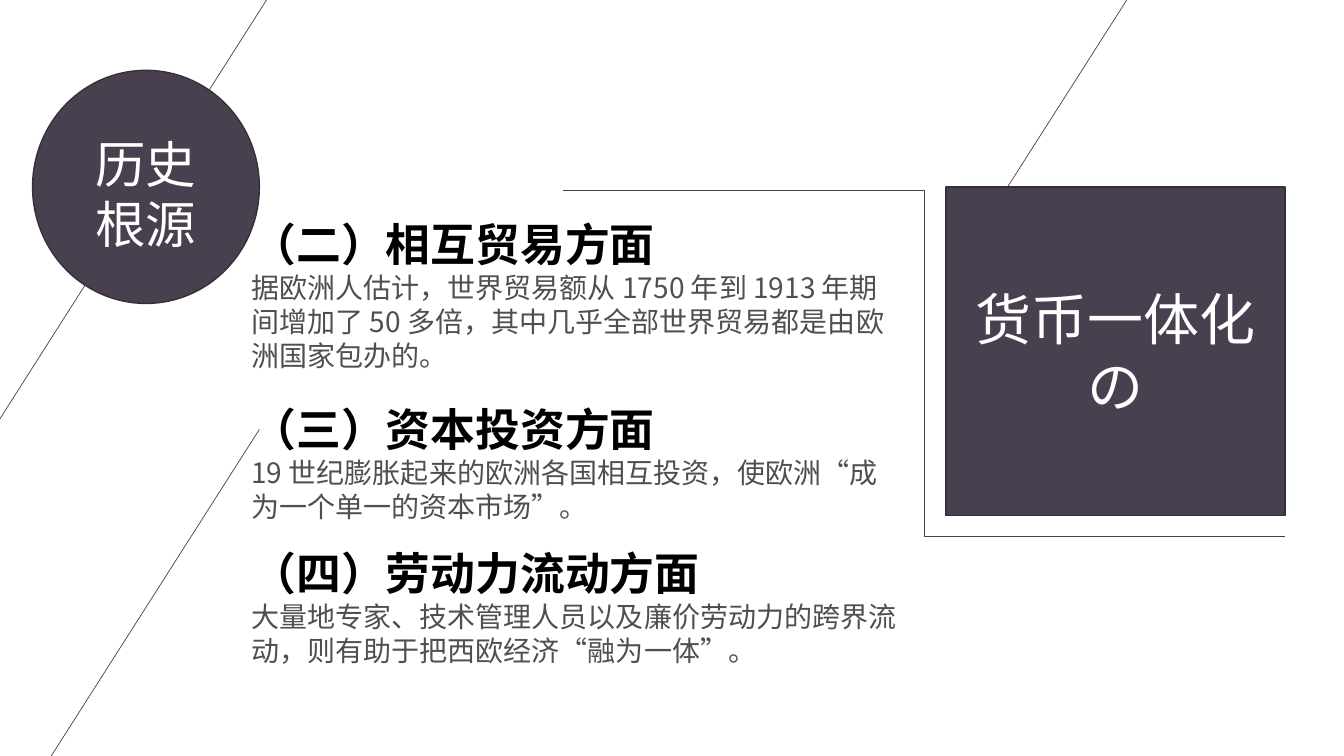
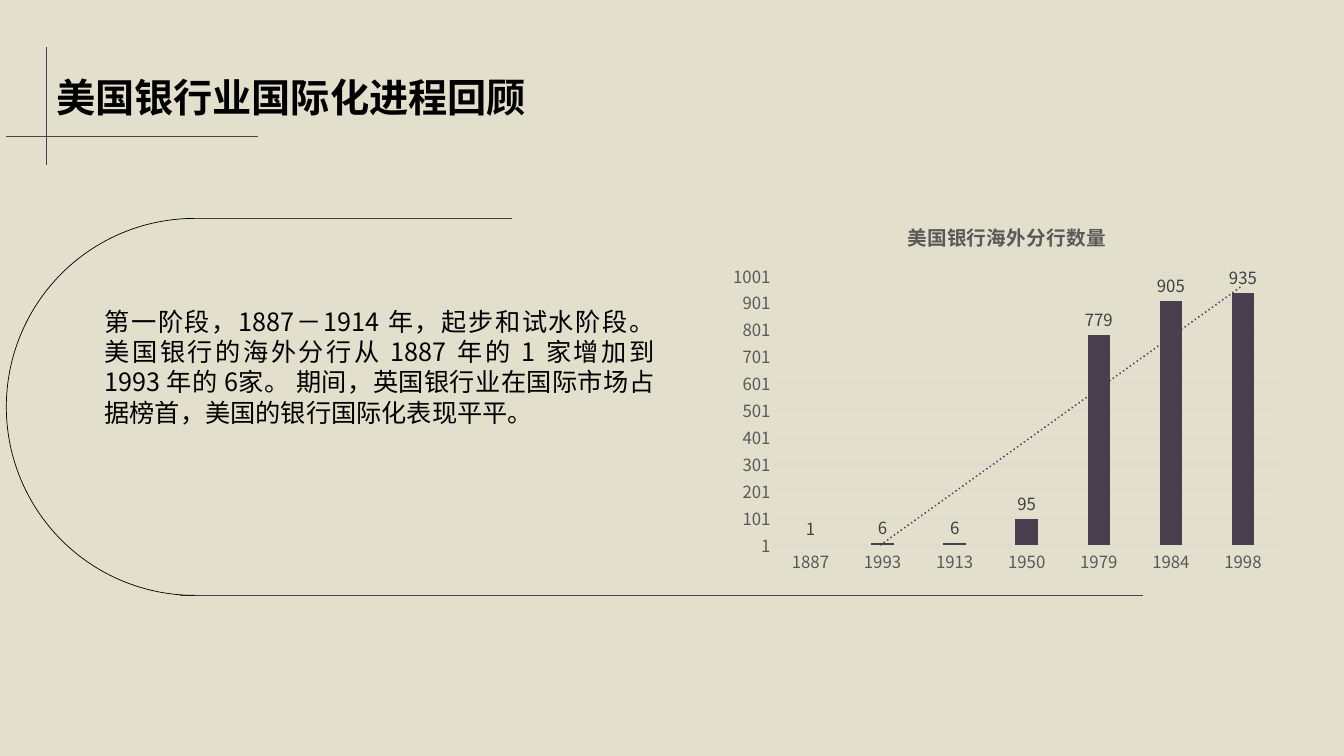
from dataclasses import dataclass

from lxml import etree
from pptx import Presentation
from pptx.chart.data import CategoryChartData
from pptx.dml.color import RGBColor
from pptx.enum.chart import XL_CHART_TYPE as ChartType
from pptx.enum.chart import XL_LABEL_POSITION as LabelPosition
from pptx.enum.chart import XL_TICK_MARK as TickMark
from pptx.enum.shapes import MSO_CONNECTOR as Connector
from pptx.enum.shapes import MSO_SHAPE as Preset
from pptx.enum.text import MSO_ANCHOR as Anchor
from pptx.enum.text import MSO_AUTO_SIZE as AutoSize
from pptx.enum.text import PP_ALIGN as Align
from pptx.oxml import parse_xml
from pptx.oxml.ns import nsdecls, qn
from pptx.util import Emu, Pt


@dataclass(frozen=True)
class Theme:
    font: str = "Noto Sans CJK SC"
    white: str = "FFFFFF"
    black: str = "000000"
    sand: str = "E2DFCC"
    plum: str = "49404F"
    plum_edge: str = "362F3A"
    body: str = "4F4F4F"
    axis: str = "595959"
    label: str = "404040"
    grid: str = "D9D9D9"
    banner_size: int = 40
    badge_size: int = 36
    heading_size: int = 32
    title_size: int = 28
    body_size: int = 20
    note_size: int = 18
    chart_title_size: int = 14
    chart_size: int = 12
    thin: float = 0.5
    outline: float = 1
    grid_width: float = 0.75


THEME = Theme()

SECTIONS = [
    (202, 158, "（二）相互贸易方面",
     "据欧洲人估计，世界贸易额从 1750 年到 1913 年期间增加了 50 多倍，"
     "其中几乎全部世界贸易都是由欧洲国家包办的。"),
    (378, 126, "（三）资本投资方面",
     "19 世纪膨胀起来的欧洲各国相互投资，使欧洲“成为一个单一的资本市场”。"),
    (515, 126, "（四）劳动力流动方面",
     "大量地专家、技术管理人员以及廉价劳动力的跨界流动，"
     "则有助于把西欧经济“融为一体”。"),
]
STAGE_TEXT = (
    "第一阶段，1887－1914 年，起步和试水阶段。 美国银行的海外分行从 1887 年的 1 家增加到 "
    "1993 年的 6家。 期间，英国银行业在国际市场占据榜首，美国的银行国际化表现平平。"
)
BRANCHES = {
    "1887": 1, "1993": 6, "1913": 6, "1950": 95,
    "1979": 779, "1984": 905, "1998": 935,
}


def px(*lengths):
    return [Emu(length * 9525) for length in lengths]


def rgb(colour):
    return RGBColor.from_string(colour)


def style_font(font, size, colour, bold=False):
    font.size = Pt(size)
    font.bold = bold
    font.color.rgb = rgb(colour)
    font.name = THEME.font
    etree.SubElement(font._rPr, qn("a:ea")).set("typeface", THEME.font)


def style_line(line, colour, width):
    line.color.rgb = rgb(colour)
    line.width = Pt(width)


def write(frame, paragraphs, align):
    frame.text = "\n".join(text for text, *_ in paragraphs)
    for para, (_, size, colour, bold) in zip(frame.paragraphs, paragraphs):
        para.alignment = align
        for span in para.runs:
            style_font(span.font, size, colour, bold)


def add_page(deck, background):
    page = deck.slides.add_slide(deck.slide_layouts[6])
    page.background.fill.solid()
    page.background.fill.fore_color.rgb = rgb(background)
    return page


def add_text(shapes, area, paragraphs, align=Align.LEFT, wrap=True):
    box = shapes.add_textbox(*px(*area))
    box.text_frame.word_wrap = wrap
    box.text_frame.auto_size = AutoSize.SHAPE_TO_FIT_TEXT
    write(box.text_frame, paragraphs, align)


def add_rule(shapes, start, end, kind=Connector.STRAIGHT):
    rule = shapes.add_connector(kind, *px(*start, *end))
    style_line(rule.line, THEME.plum, THEME.thin)
    etree.SubElement(rule._element.spPr, qn("a:effectLst"))


def add_block(shapes, preset, area):
    block = shapes.add_shape(preset, *px(*area))
    block.shadow.inherit = False
    block.fill.solid()
    block.fill.fore_color.rgb = rgb(THEME.plum)
    style_line(block.line, THEME.plum_edge, THEME.outline)
    return block


def add_half_circle(shapes, area):
    arc = shapes.add_shape(Preset.ARC, *px(*area))
    arc.shadow.inherit = False
    arc.fill.background()
    style_line(arc.line, THEME.black, THEME.thin)
    arc.adjustments[0] = 162
    arc.adjustments[1] = 54.07
    arc.rotation = 180


def add_trend(series):
    trend = parse_xml(
        f'<c:trendline {nsdecls("c", "a")}><c:spPr><a:ln w="19050" cap="rnd">'
        f'<a:solidFill><a:srgbClr val="{THEME.plum}"/></a:solidFill>'
        '<a:prstDash val="sysDot"/></a:ln></c:spPr>'
        '<c:trendlineType val="linear"/><c:dispRSqr val="0"/><c:dispEq val="0"/>'
        '</c:trendline>'
    )
    series._element.find(qn("c:cat")).addprevious(trend)


def place_plot(chart, x, y, width, height):
    area = chart._chartSpace.chart.plotArea
    for old in area.findall(qn("c:layout")):
        area.remove(old)
    area.insert(0, parse_xml(
        f'<c:layout {nsdecls("c")}><c:manualLayout><c:layoutTarget val="inner"/>'
        '<c:xMode val="edge"/><c:yMode val="edge"/>'
        f'<c:x val="{x}"/><c:y val="{y}"/><c:w val="{width}"/><c:h val="{height}"/>'
        '</c:manualLayout></c:layout>'
    ))


def add_column_chart(shapes, area, title, values):
    data = CategoryChartData()
    data.categories = list(values)
    data.add_series("Series 1", list(values.values()))
    chart = shapes.add_chart(ChartType.COLUMN_CLUSTERED, *px(*area), data).chart
    style_font(chart.font, THEME.chart_size, THEME.black)
    chart.has_legend = False
    chart.has_title = True
    chart.chart_title.include_in_layout = False
    frame = chart.chart_title.text_frame
    frame.text = title
    style_font(frame.paragraphs[0].runs[0].font,
               THEME.chart_title_size, THEME.axis, True)

    for axis in (chart.category_axis, chart.value_axis):
        axis.major_tick_mark = axis.minor_tick_mark = TickMark.NONE
        style_font(axis.tick_labels.font, THEME.chart_size, THEME.axis)
    style_line(chart.category_axis.format.line, THEME.grid, THEME.grid_width)
    scale = chart.value_axis
    scale.minimum_scale, scale.maximum_scale, scale.major_unit = 1, 1001, 100
    scale.format.line.fill.background()
    style_line(scale.major_gridlines.format.line, THEME.grid, THEME.grid_width)

    plot = chart.plots[0]
    plot.gap_width, plot.overlap, plot.vary_by_categories = 219, -27, False
    series = plot.series[0]
    series.format.fill.solid()
    series.format.fill.fore_color.rgb = rgb(THEME.plum)
    labels = series.data_labels
    labels.show_value = True
    labels.position = LabelPosition.OUTSIDE_END
    style_font(labels.font, THEME.chart_size, THEME.label)
    add_trend(series)
    place_plot(chart, 0.09, 0.19, 0.89, 0.71)


def build_roots(deck):
    shapes = add_page(deck, THEME.white).shapes
    add_rule(shapes, (313, -93), (-172, 669))
    add_block(shapes, Preset.OVAL, (31, 67, 216, 222))
    badge = [(text, THEME.badge_size, THEME.white, False) for text in ("历史", "根源")]
    add_text(shapes, (34, 122, 209, 126), badge, Align.CENTER)
    add_rule(shapes, (247, 409), (-238, 1170))
    add_rule(shapes, (536, 181), (1224, 511), Connector.ELBOW)
    add_rule(shapes, (1437, -571), (952, 190))
    banner = add_block(shapes, Preset.RECTANGLE, (901, 178, 323, 313))
    banner.text_frame.word_wrap = True
    banner.text_frame.vertical_anchor = Anchor.MIDDLE
    write(banner.text_frame,
          [("货币一体化の", THEME.banner_size, THEME.white, False)], Align.CENTER)
    for top, height, heading, body in SECTIONS:
        add_text(shapes, (230, top, 640, height), [
            (heading, THEME.heading_size, THEME.black, True),
            (body, THEME.body_size, THEME.body, False),
        ])


def build_review(deck):
    shapes = add_page(deck, THEME.sand).shapes
    add_rule(shapes, (44, 157), (44, 45))
    add_rule(shapes, (6, 130), (246, 130))
    add_text(shapes, (44, 65, 471, 55),
             [("美国银行业国际化进程回顾", THEME.title_size, THEME.black, True)],
             Align.JUSTIFY, wrap=False)
    add_column_chart(shapes, (689, 194, 540, 361), "美国银行海外分行数量", BRANCHES)
    add_text(shapes, (90, 287, 543, 126),
             [(STAGE_TEXT, THEME.note_size, THEME.black, False)], Align.JUSTIFY)
    bracket = shapes.add_group_shape().shapes
    add_rule(bracket, (171, 567), (1089, 567))
    add_half_circle(bracket, (6, 208, 359, 359))
    add_rule(bracket, (185, 208), (488, 208))


def main():
    deck = Presentation()
    deck.slide_width, deck.slide_height = px(1280, 720)
    build_roots(deck)
    build_review(deck)
    deck.save("out.pptx")


if __name__ == "__main__":
    main()
